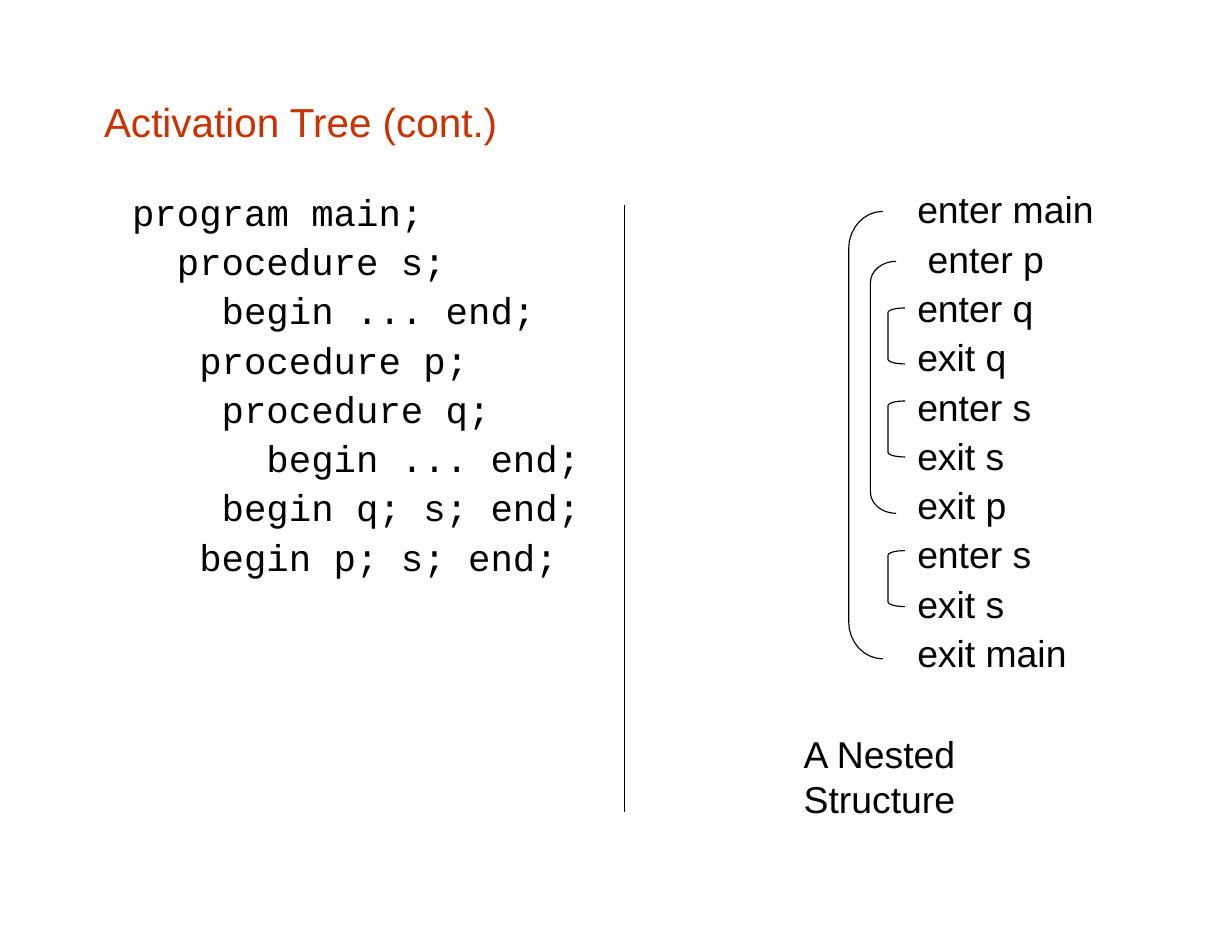
from dataclasses import dataclass
from math import cos, pi, sin

from lxml.etree import SubElement
from pptx import Presentation
from pptx.dml.color import RGBColor
from pptx.enum.shapes import MSO_CONNECTOR
from pptx.oxml.ns import qn
from pptx.slide import Slide
from pptx.util import Pt

BLACK = RGBColor(0x00, 0x00, 0x00)
RED = RGBColor(0xCD, 0x31, 0x00)

LINE_PITCH = 31.7
CHARACTER = 14.4  # advance of one 24 pt Courier New character
TRACE_INDENT = 73
ARC_STEPS = 8


@dataclass(frozen=True)
class Line:
    text: str
    indent: float = 0
    pitch: float | None = LINE_PITCH
    before: float = 0


@dataclass(frozen=True)
class TextBlock:
    left: float
    top: float
    width: float
    height: float
    font: str
    size: float
    color: RGBColor
    lines: list[Line]


@dataclass(frozen=True)
class Bracket:
    left: float
    top: float
    width: float
    height: float
    corner: float


TITLE = TextBlock(66.9, 62.6, 660, 33, "Arial", 26, RED,
                  [Line("Activation Tree (cont.)", pitch=None)])

PROGRAM = TextBlock(84.9, 118.5, 300, 255, "Courier New", 24, BLACK, [
    Line(text, depth * CHARACTER) for depth, text in [
        (0, "program main;"),
        (2, "procedure s;"),
        (4, "begin ... end;"),
        (3, "procedure p;"),
        (4, "procedure q;"),
        (6, "begin ... end;"),
        (4, "begin q; s; end;"),
        (3, "begin p; s; end;"),
    ]
])

TRACE = TextBlock(516.7, 117, 205, 382, "Arial", 24, BLACK, [
    Line("enter main", TRACE_INDENT),
    Line("enter p", TRACE_INDENT + 6.7),
    *[Line(text, TRACE_INDENT) for text in (
        "enter q", "exit q", "enter s", "exit s",
        "exit p", "enter s", "exit s", "exit main")],
    Line("A Nested\vStructure", pitch=None, before=36),
])

BRACKETS = [
    Bracket(545.6, 135.9, 22, 287.7, 24),
    Bracket(559.6, 168, 16.5, 162, 13.7),
    *[Bracket(570.9, top, 11, 36, 3) for top in (198, 257.8, 354)],
]


def add_text(page: Slide, block: TextBlock) -> None:
    box = page.shapes.add_textbox(Pt(block.left), Pt(block.top),
                                  Pt(block.width), Pt(block.height))
    frame = box.text_frame
    frame_format = {"word_wrap": True, "margin_left": 0, "margin_top": 0,
                    "margin_right": 0, "margin_bottom": 0}
    for name, value in frame_format.items():
        setattr(frame, name, value)
    font_format = {"name": block.font, "size": Pt(block.size)}
    for index, line in enumerate(block.lines):
        para = frame.add_paragraph() if index else frame.paragraphs[0]
        para.text = line.text
        properties = para._p.get_or_add_pPr()
        properties.set("marL", str(Pt(line.indent)))
        properties.set("indent", "0")
        if line.pitch:
            para.line_spacing = Pt(line.pitch)
        if line.before:
            para.space_before = Pt(line.before)
        for span in para.runs:
            for name, value in font_format.items():
                setattr(span.font, name, value)
            span.font.color.rgb = block.color


def add_bracket(page: Slide, bracket: Bracket) -> None:
    """Draw an open left bracket with quarter-ellipse corners."""
    right = bracket.left + bracket.width
    bottom = bracket.top + bracket.height
    angles = [step * pi / 2 / ARC_STEPS for step in range(ARC_STEPS + 1)]
    corner = [(right - bracket.width * sin(angle),
               bracket.corner * (1 - cos(angle))) for angle in angles]
    points = [(Pt(x), Pt(bracket.top + drop)) for x, drop in corner]
    points += [(Pt(x), Pt(bottom - drop)) for x, drop in reversed(corner)]
    builder = page.shapes.build_freeform(*points[0])
    builder.add_line_segments(points[1:], close=False)
    shape = builder.convert_to_shape()
    shape.shadow.inherit = False
    shape.fill.background()
    shape.line.color.rgb = BLACK
    shape.line.width = Pt(0.75)


def add_divider(page: Slide, x: float, top: float, bottom: float) -> None:
    divider = page.shapes.add_connector(MSO_CONNECTOR.STRAIGHT,
                                        Pt(x), Pt(top), Pt(x), Pt(bottom))
    divider.line.color.rgb = BLACK
    divider.line.width = Pt(0.75)
    SubElement(divider._element.spPr, qn("a:effectLst"))


def main() -> None:
    deck = Presentation()
    deck.slide_width, deck.slide_height = Pt(792), Pt(612)
    page = deck.slides.add_slide(deck.slide_layouts[6])
    for block in (TITLE, PROGRAM, TRACE):
        add_text(page, block)
    for bracket in BRACKETS:
        add_bracket(page, bracket)
    add_divider(page, 401.6, 132, 522)
    deck.save("out.pptx")


if __name__ == "__main__":
    main()
